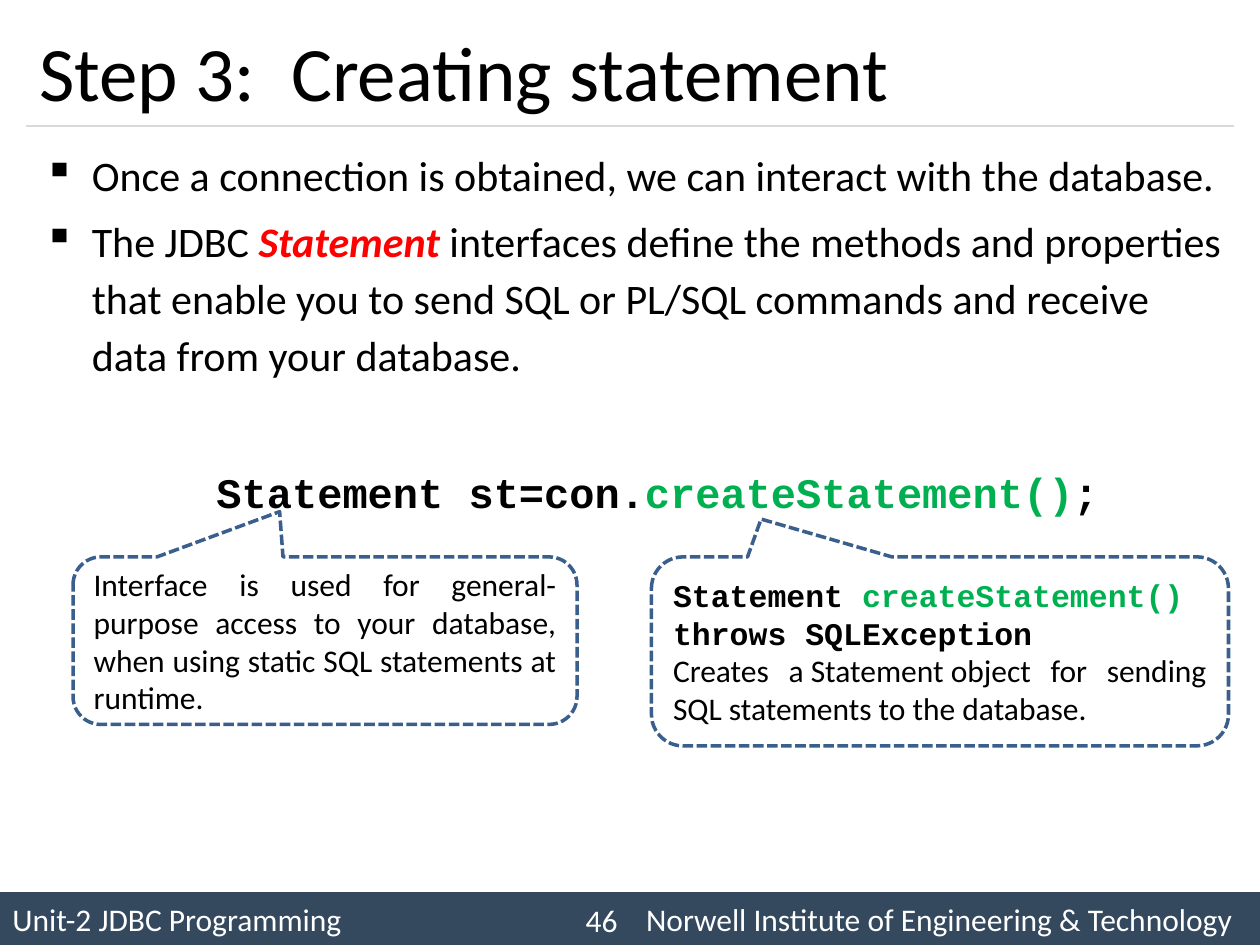
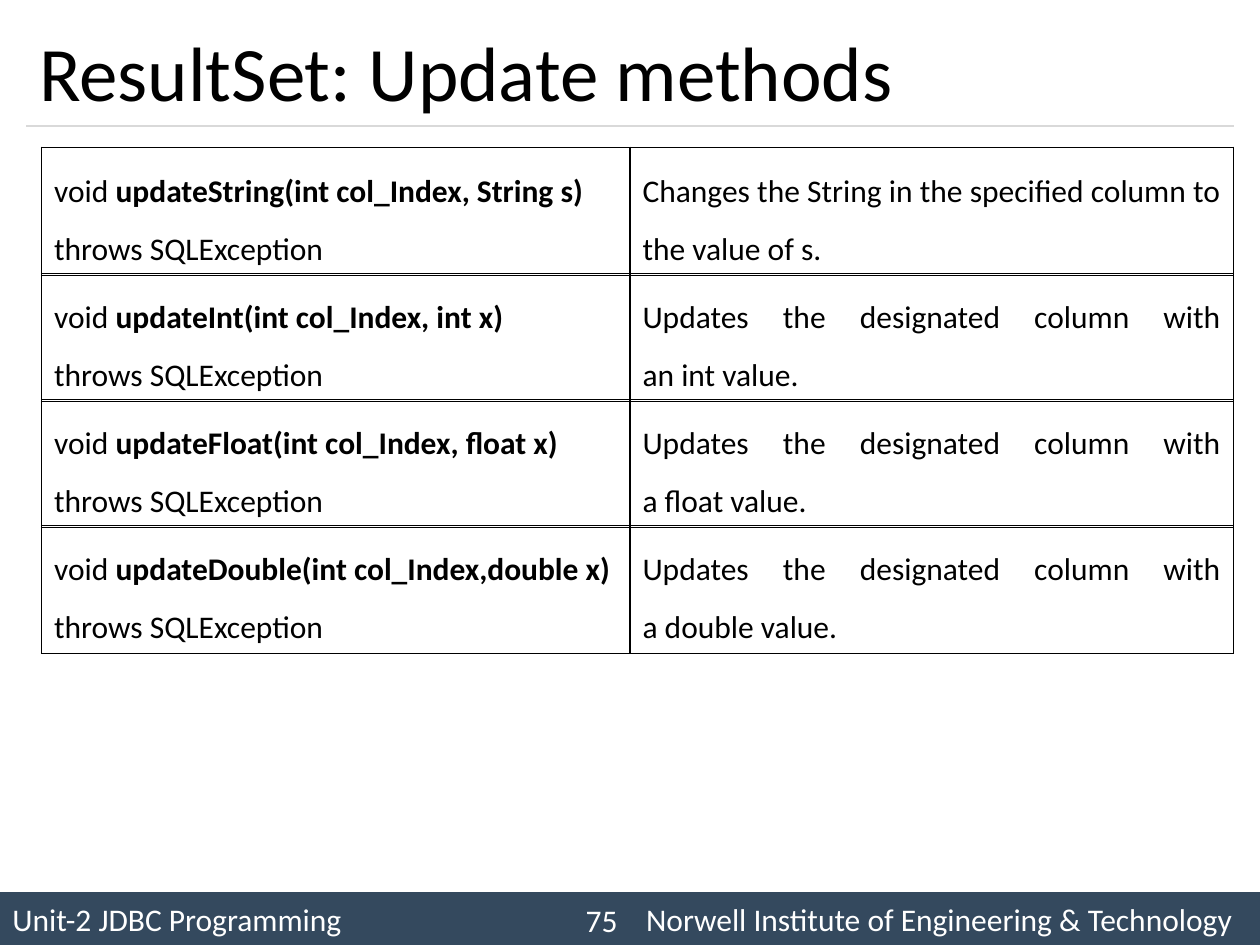
from pptx import Presentation
from pptx.dml.color import RGBColor
from pptx.enum.dml import MSO_LINE
from pptx.enum.shapes import MSO_CONNECTOR, MSO_SHAPE
from pptx.enum.text import MSO_ANCHOR, MSO_AUTO_SIZE, PP_ALIGN
from pptx.oxml import parse_xml
from pptx.oxml.ns import nsdecls
from pptx.util import Inches, Pt

BLACK, WHITE, RED, GREEN = "000000", "FFFFFF", "FF0000", "00B050"
BAND, RULE, CALLOUT = "34495E", "D9D9D9", "3A5F8C"
SANS, MONO = "Calibri", "Courier New"
NBSP = chr(160)
UNIT = "Unit-2 JDBC Programming"
INSTITUTE = "Norwell Institute of Engineering & Technology"


def rgb(value):
    """Turn a hex string into a colour."""
    return RGBColor.from_string(value)


def box(left, top, width, height):
    """Turn a place and size in inches into lengths."""
    return Inches(left), Inches(top), Inches(width), Inches(height)


class Deck:
    """Holds the shared style and the current slide."""

    def __init__(self):
        """Start an empty presentation."""
        self.file = Presentation()
        self.file.slide_width = Inches(10)
        self.file.slide_height = Inches(7.5)
        self.slide = None

    def fill_text(self, frame, paragraphs, size=18, color=BLACK, align=PP_ALIGN.LEFT,
                  anchor=MSO_ANCHOR.MIDDLE, spacing=None, before=0):
        """Fill a frame with paragraphs, each a list of (text, style) runs."""
        frame.word_wrap = True
        frame.auto_size = MSO_AUTO_SIZE.NONE
        frame.vertical_anchor = anchor
        for index, runs in enumerate(paragraphs):
            paragraph = frame.add_paragraph() if index else frame.paragraphs[0]
            paragraph.alignment = align
            paragraph.space_before = Pt(before)
            if spacing:
                paragraph.line_spacing = spacing
            for words, style in runs:
                run = paragraph.add_run()
                run.text = words
                run.font.size = Pt(size)
                run.font.name = style.get("font", SANS)
                run.font.bold = style.get("bold", False)
                run.font.italic = style.get("italic", False)
                run.font.color.rgb = rgb(style.get("color", color))

    def text(self, place, paragraphs, **style):
        """Add a text box."""
        frame = self.slide.shapes.add_textbox(*box(*place)).text_frame
        self.fill_text(frame, paragraphs, **style)
        return frame

    def page(self, title, number):
        """Add a slide with its title, rule and footer band."""
        self.slide = self.file.slides.add_slide(self.file.slide_layouts[5])
        band = self.slide.shapes.add_shape(MSO_SHAPE.RECTANGLE, *box(0, 7.08, 10, 0.42))
        band.shadow.inherit = False
        band.fill.solid()
        band.fill.fore_color.rgb = rgb(BAND)
        band.line.fill.background()
        self.fill_text(band.text_frame, [[(UNIT, {})]], color=WHITE)
        self.text((5.03, 7.08, 4.97, 0.42), [[(INSTITUTE, {})]], color=WHITE)
        self.text((4.17, 7.1, 0.83, 0.4), [[(number, {})]], color=WHITE, align=PP_ALIGN.RIGHT)
        self.rule(0.21, 9.79, 1)
        heading = self.slide.shapes.title
        heading.left, heading.top, heading.width, heading.height = box(0.21, 0.12, 9.58, 0.88)
        self.fill_text(heading.text_frame, [[(title, {})]], size=44)

    def rule(self, start, end, top):
        """Add a thin horizontal line."""
        line = self.slide.shapes.add_connector(
            MSO_CONNECTOR.STRAIGHT, Inches(start), Inches(top), Inches(end), Inches(top))
        line.line.color.rgb = rgb(RULE)
        line.line.width = Pt(0.75)
        line._element.spPr.append(parse_xml(f"<a:effectLst {nsdecls('a')}/>"))

    def bullets(self, place, points):
        """Add a list with square bullets and a hanging indent."""
        frame = self.text(place, points, size=24, anchor=MSO_ANCHOR.TOP, spacing=1.14, before=4.8)
        for paragraph in frame.paragraphs:
            properties = paragraph._p.get_or_add_pPr()
            properties.set("marL", str(Inches(0.38)))
            properties.set("indent", str(-Inches(0.38)))
            properties.append(parse_xml(f'<a:buChar {nsdecls("a")} char="▪"/>'))

    def callout(self, place, pointer, paragraphs):
        """Add a dashed callout whose tip sits at the pointer."""
        shape = self.slide.shapes.add_shape(MSO_SHAPE.ROUNDED_RECTANGULAR_CALLOUT, *box(*place))
        shape.shadow.inherit = False
        shape.adjustments[0], shape.adjustments[1] = pointer
        shape.fill.background()
        shape.line.color.rgb = rgb(CALLOUT)
        shape.line.width = Pt(2)
        shape.line.dash_style = MSO_LINE.SQUARE_DOT
        self.fill_text(shape.text_frame, paragraphs, align=PP_ALIGN.JUSTIFY)

    def method_table(self, top, signature, effect):
        """Add a one-row table with a method and its effect."""
        table = self.slide.shapes.add_table(1, 2, *box(0.33, top, 9.46, 0.95)).table
        table.first_row = table.horz_banding = False
        declaration = [[("void ", {}), (signature, {"bold": True})], [("throws SQLException", {})]]
        columns = ((4.67, declaration, PP_ALIGN.LEFT), (4.79, [[(effect, {})]], PP_ALIGN.JUSTIFY))
        for index, (width, paragraphs, align) in enumerate(columns):
            table.columns[index].width = Inches(width)
            cell = table.cell(0, index)
            self.fill_text(cell.text_frame, paragraphs, align=align, spacing=1.5)
            cell.vertical_anchor = MSO_ANCHOR.TOP
            cell.fill.background()
            self.border(cell)

    def border(self, cell):
        """Draw a black line on each side of a cell."""
        for index, side in enumerate("LRTB"):
            cell._tc.get_or_add_tcPr().insert(index, parse_xml(
                f'<a:ln{side} {nsdecls("a")} w="{Pt(1)}"><a:solidFill>'
                f'<a:srgbClr val="{BLACK}"/></a:solidFill></a:ln{side}>'))


def creating_statement(deck):
    """Build the slide on creating a statement."""
    code = {"font": MONO, "bold": True}
    call = {**code, "color": GREEN}
    deck.page("Step 3:\tCreating statement", "46")
    deck.bullets((0.25, 1.08, 9.58, 2.3), [
        [("Once a connection is obtained, we can interact with the database.", {})],
        [("The JDBC ", {}), ("Statement", {"color": RED, "bold": True, "italic": True}),
         (" interfaces define the methods and properties that enable you to send SQL or "
          "PL/SQL commands and receive data from your database.", {})]])
    deck.text((1.62, 3.65, 7.5, 0.5), [
        [("Statement st=con.", code), ("createStatement()", call), (";", code)]], size=24)
    deck.callout((0.58, 4.42, 4, 1.33), (-0.09, -0.77), [
        [("Interface is used for general-purpose access to your database, "
          "when using static SQL statements at runtime.", {})]])
    deck.callout((5.17, 4.42, 4.58, 1.5), (-0.31, -0.7), [
        [(f"Statement{NBSP}", code), ("createStatement() ", call), ("throws SQLException", code)],
        [(f"Creates a{NBSP}Statement{NBSP}object for sending SQL statements to the database.", {})]])


def update_methods(deck):
    """Build the slide on the update methods."""
    deck.page("ResultSet: Update methods", "75")
    updates = "Updates the designated column with"
    methods = (
        ("updateString(int col_Index, String s)",
         "Changes the String in the specified column to the value of s."),
        ("updateInt(int col_Index, int x)", f"{updates} an{NBSP}int{NBSP}value."),
        ("updateFloat(int col_Index, float x)", f"{updates} a{NBSP}float{NBSP}value."),
        ("updateDouble(int col_Index,double x)", f"{updates} a{NBSP}double{NBSP}value."))
    for row, (signature, effect) in enumerate(methods):
        deck.method_table(1.17 + row, signature, effect)


def main():
    """Build both slides and save them."""
    deck = Deck()
    creating_statement(deck)
    update_methods(deck)
    deck.file.save("out.pptx")


if __name__ == "__main__":
    main()
